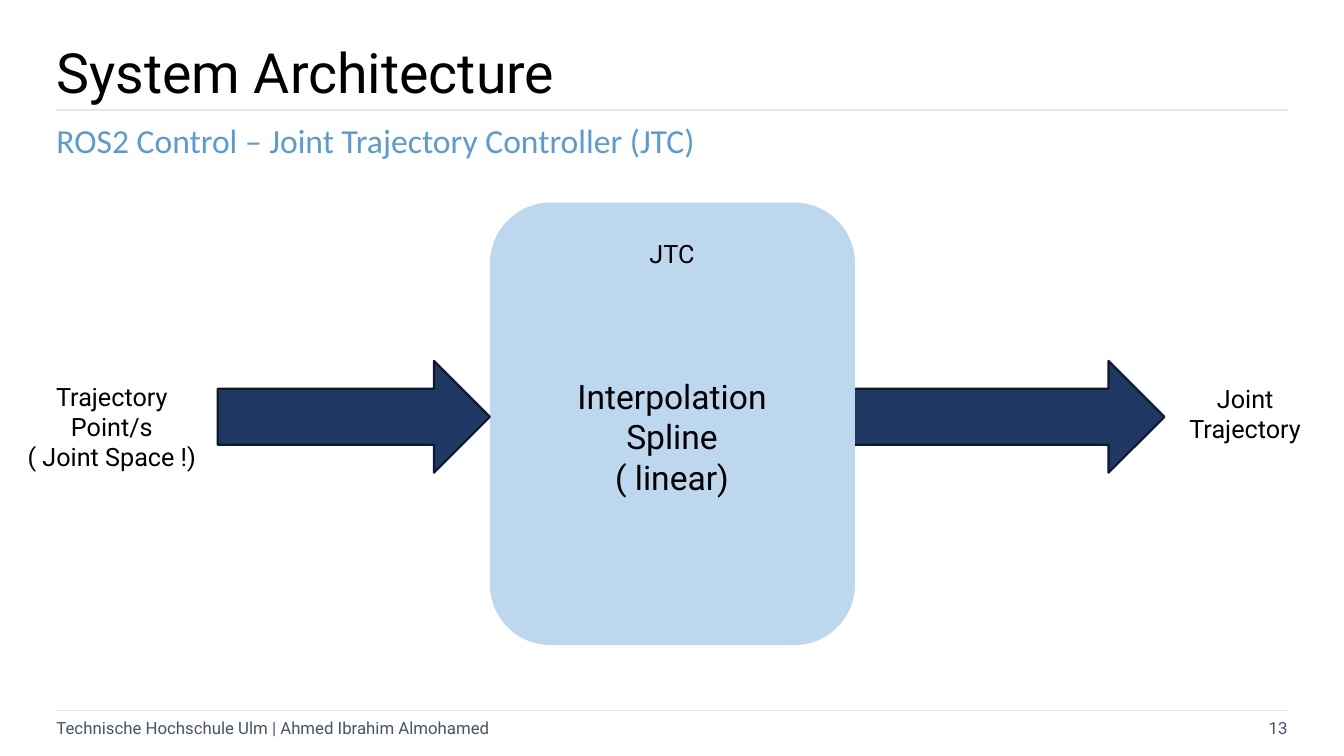
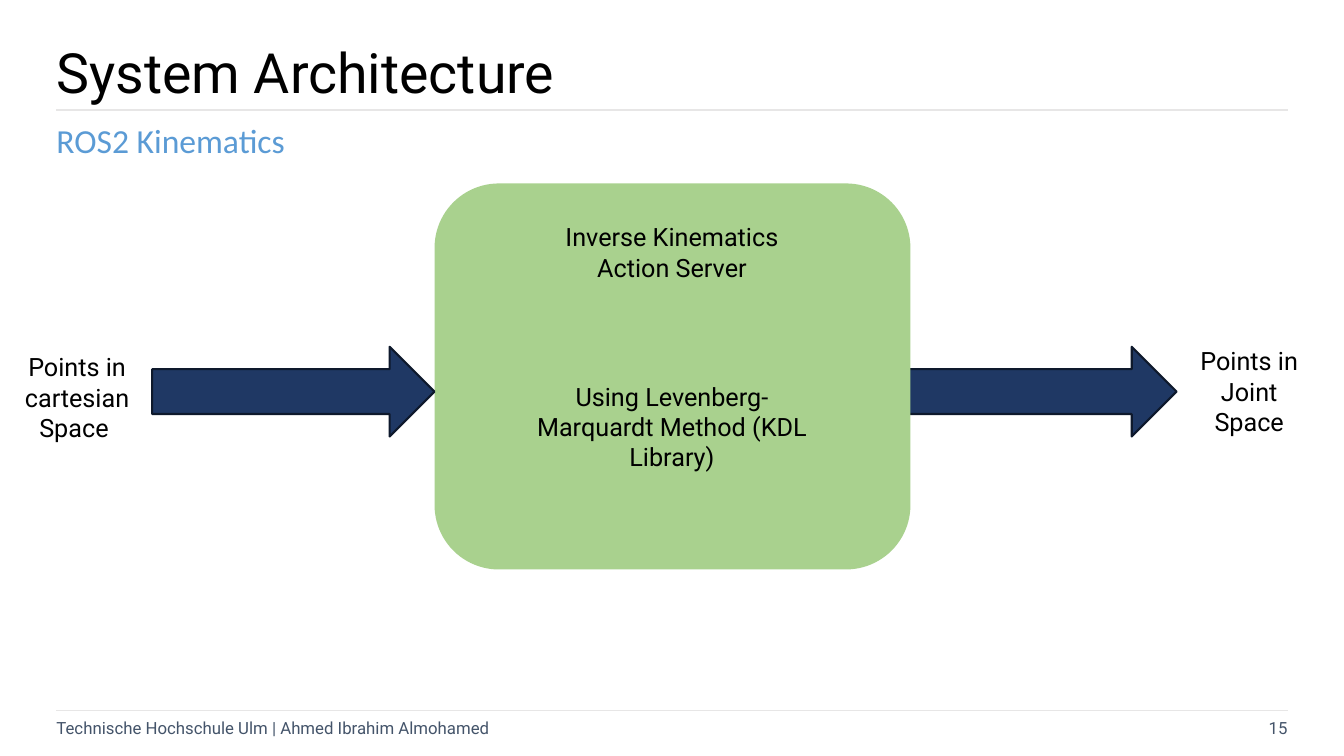
from dataclasses import dataclass

from pptx import Presentation
from pptx.dml.color import RGBColor
from pptx.enum.shapes import MSO_CONNECTOR, MSO_SHAPE
from pptx.enum.text import MSO_ANCHOR, PP_ALIGN
from pptx.oxml.ns import qn
from pptx.util import Inches, Pt
from lxml.etree import SubElement


@dataclass(frozen=True)
class Theme:
    font: str = "Roboto"
    subtitle_font: str = "Calibri"
    text: str = "000000"
    accent: str = "5B9BD5"
    muted: str = "44546A"
    rule: str = "E7E6E6"
    arrow: str = "1F3864"
    arrow_edge: str = "0E192C"
    blue_block: str = "BDD7EE"
    green_block: str = "A9D18E"
    title_size: float = 39.6
    large_size: float = 24
    label_size: float = 18
    footer_size: float = 12
    left: float = 0.56
    right: float = 12.77


T = Theme()
DEFAULT_INSETS = (0.1, 0.05, 0.1, 0.05)
TITLE_INSETS = (0, 0.05, 0.1, 0.05)
NO_INSETS = (0, 0, 0, 0)


def rgb(color):
    return RGBColor.from_string(color)


def add_text(s, box, lines, size, color=T.text, font=T.font, align=PP_ALIGN.LEFT,
             anchor=MSO_ANCHOR.MIDDLE, insets=DEFAULT_INSETS, spacing=None):
    tf = s.shapes.add_textbox(*map(Inches, box)).text_frame
    tf.word_wrap = True
    tf.vertical_anchor = anchor
    tf.margin_left, tf.margin_top, tf.margin_right, tf.margin_bottom = map(Inches, insets)
    for i, line in enumerate(lines):
        p = tf.paragraphs[0] if i == 0 else tf.add_paragraph()
        p.alignment = align
        p.line_spacing = spacing
        r = p.add_run()
        r.text = line
        r.font.name = font
        r.font.size = Pt(size)
        r.font.color.rgb = rgb(color)


def add_label(s, box, *lines, size=T.label_size):
    add_text(s, box, lines, size, align=PP_ALIGN.CENTER, anchor=MSO_ANCHOR.TOP)


def add_rule(s, y):
    line = s.shapes.add_connector(MSO_CONNECTOR.STRAIGHT, Inches(T.left), Inches(y),
                                  Inches(T.right), Inches(y))
    line.line.color.rgb = rgb(T.rule)
    line.line.width = Pt(1)
    SubElement(line._element.spPr, qn("a:effectLst"))


def add_shape(s, kind, box, fill, edge=None):
    sp = s.shapes.add_shape(kind, *map(Inches, box))
    sp.shadow.inherit = False
    sp.fill.solid()
    sp.fill.fore_color.rgb = rgb(fill)
    if edge:
        sp.line.color.rgb = rgb(edge)
        sp.line.width = Pt(1.5)
    else:
        sp.line.fill.background()


def add_arrow(s, box):
    add_shape(s, MSO_SHAPE.RIGHT_ARROW, box, T.arrow, T.arrow_edge)


def add_flow(s, arrow_in, block, fill, arrow_out):
    add_arrow(s, arrow_out)
    add_shape(s, MSO_SHAPE.ROUNDED_RECTANGLE, block, fill)
    add_arrow(s, arrow_in)


def add_slide(prs, subtitle, number):
    s = prs.slides.add_slide(prs.slide_layouts[6])
    for y in (1.09, 7.05):
        add_rule(s, y)
    add_text(s, (T.left, 0.48, 11.1, 0.54), ["System Architecture"], T.title_size,
             insets=TITLE_INSETS, spacing=0.9)
    add_text(s, (T.left, 1.1, 12.2, 0.63), [subtitle], T.large_size, T.accent,
             T.subtitle_font, insets=TITLE_INSETS, spacing=0.9)
    add_text(s, (T.left, 7.14, 10.54, 0.17),
             ["Technische Hochschule Ulm | Ahmed Ibrahim Almohamed"],
             T.footer_size, T.muted, insets=NO_INSETS)
    add_text(s, (11.64, 7.14, 1.13, 0.17), [str(number)], T.footer_size, T.muted,
             align=PP_ALIGN.RIGHT, insets=NO_INSETS)
    return s


def add_controller_slide(prs):
    s = add_slide(prs, "ROS2 Control – Joint Trajectory Controller (JTC)", 13)
    add_flow(s, (2.16, 3.58, 2.7, 1.11), (4.86, 2.01, 3.62, 4.39), T.blue_block,
             (8.28, 3.58, 3.27, 1.11))
    add_label(s, (5.4, 2.32, 2.53, 0.4), "JTC")
    add_label(s, (5.52, 3.68, 2.29, 0.91), "Interpolation Spline ( linear)",
              size=T.large_size)
    add_label(s, (0.06, 3.73, 2.1, 0.71), "Trajectory Point/s", "( Joint Space !)")
    add_label(s, (11.55, 3.75, 1.6, 0.71), "Joint Trajectory")


def add_kinematics_slide(prs):
    s = add_slide(prs, "ROS2 Kinematics", 15)
    add_flow(s, (1.51, 3.44, 2.8, 0.89), (4.31, 1.82, 4.72, 3.83), T.green_block,
             (8.87, 3.44, 2.8, 0.89))
    add_label(s, (5.21, 2.15, 2.91, 0.71), "Inverse Kinematics Action Server")
    add_label(s, (5.05, 3.73, 3.23, 0.71),
              "Using Levenberg-Marquardt Method (KDL Library)")
    add_label(s, (0.01, 3.44, 1.51, 1.01), "Points in cartesian Space ")
    add_label(s, (11.79, 3.38, 1.2, 1.01), "Points in Joint Space")


def main():
    prs = Presentation()
    prs.slide_width = Inches(13.33)
    prs.slide_height = Inches(7.5)
    add_controller_slide(prs)
    add_kinematics_slide(prs)
    prs.save("out.pptx")


if __name__ == "__main__":
    main()
